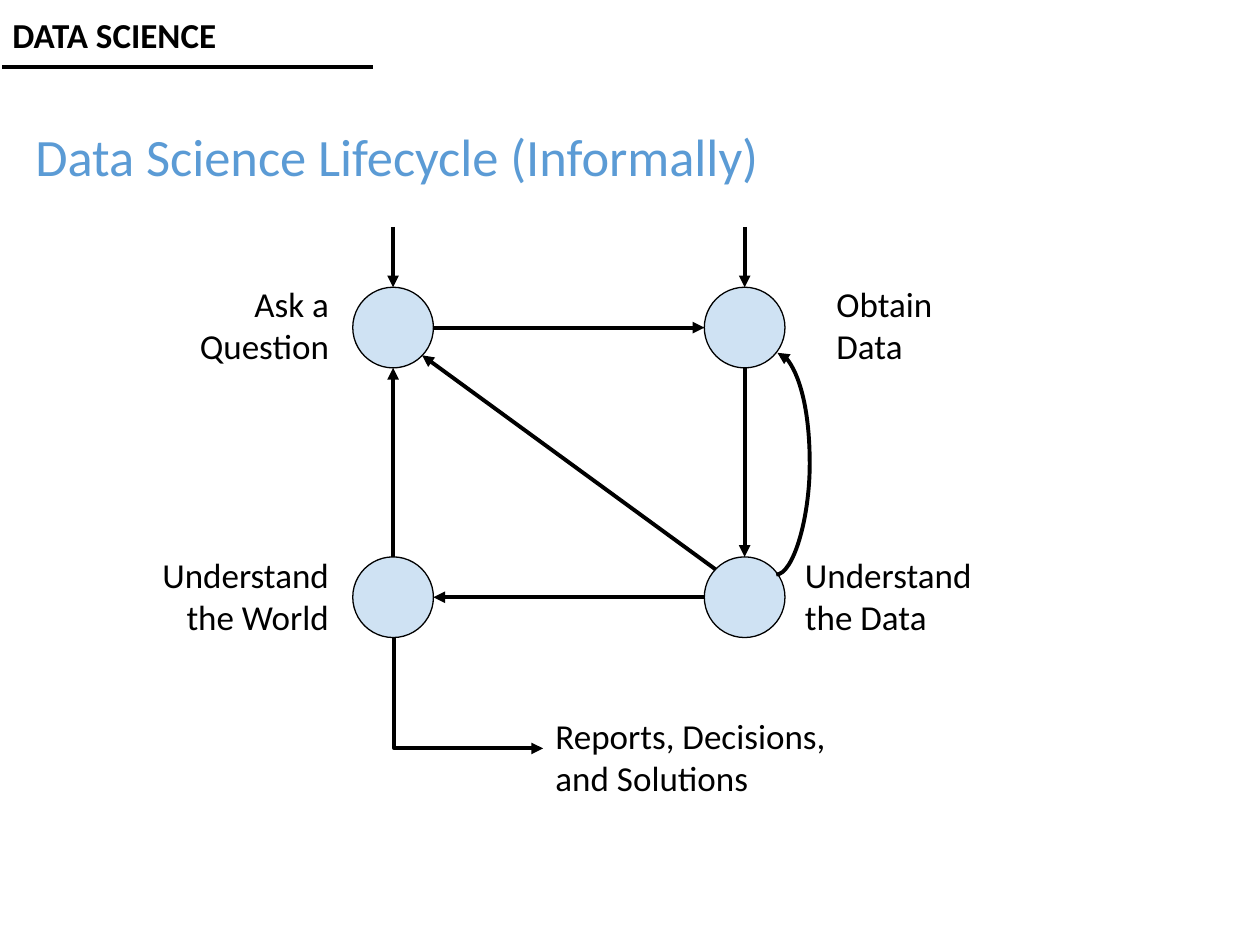
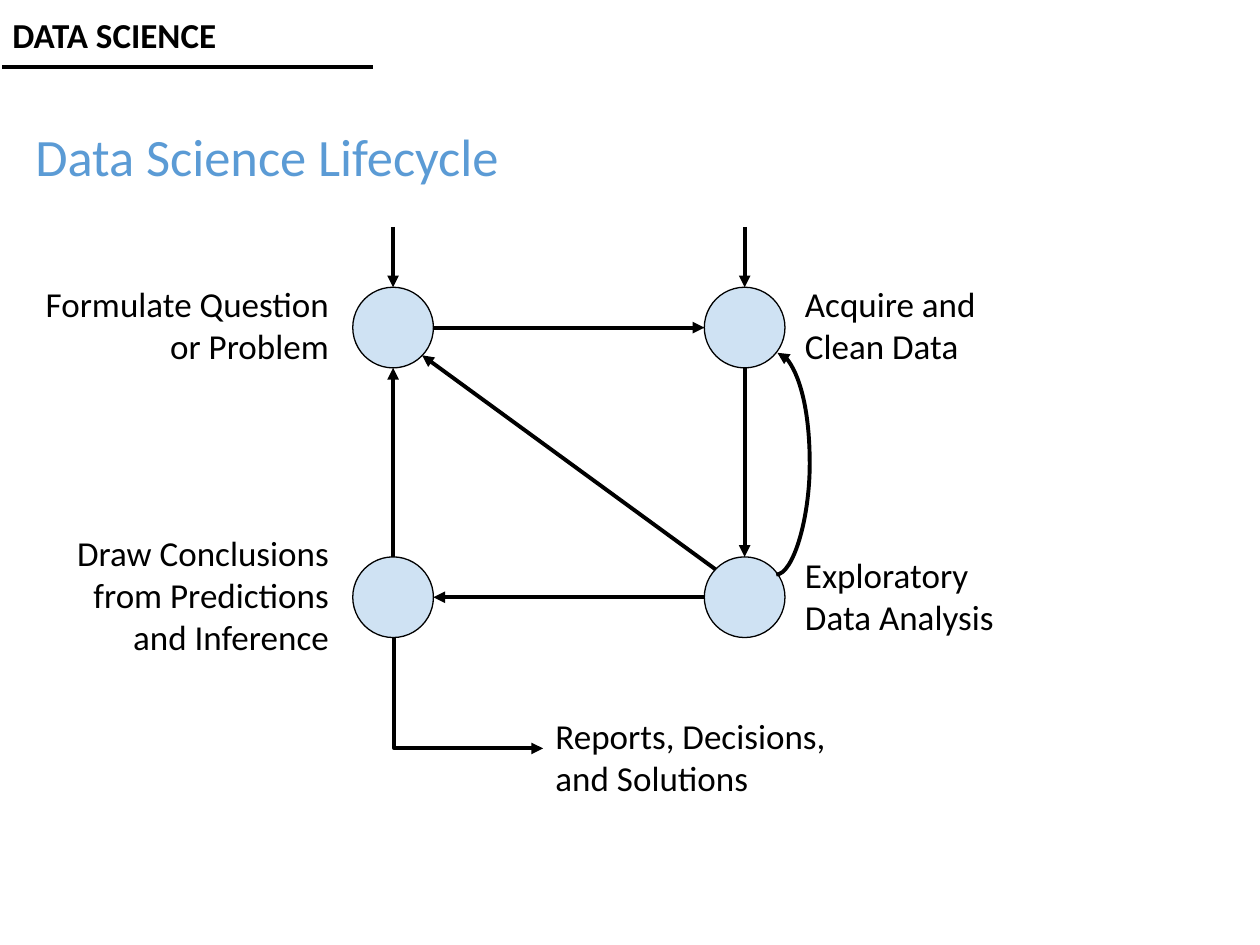
from pptx import Presentation
from pptx.dml.color import RGBColor
from pptx.enum.shapes import MSO_CONNECTOR, MSO_SHAPE
from pptx.enum.text import MSO_ANCHOR, MSO_AUTO_SIZE, PP_ALIGN
from pptx.oxml.ns import qn
from pptx.util import Pt
from lxml import etree

STRAIGHT, ELBOW, CURVE = MSO_CONNECTOR.STRAIGHT, MSO_CONNECTOR.ELBOW, MSO_CONNECTOR.CURVE
OVAL, TOP, NO_FIT = MSO_SHAPE.OVAL, MSO_ANCHOR.TOP, MSO_AUTO_SIZE.NONE
LEFT, RIGHT = PP_ALIGN.LEFT, PP_ALIGN.RIGHT

# Lengths are px, 100 to the inch
SCALE = 9144
COLORS = {"title": "5B9BD5", "node": "CFE2F3", "ink": "000000"}
FONT = "Calibri"
TITLE_ONLY = 5

# Cycle geometry: column and row centres of the nodes
WEST, EAST = 312, 591
NORTH, SOUTH = 260, 474
RADIUS = 32
ENTRY_TOP = 180


def px(*lengths):
    return [round(length * SCALE) for length in lengths]


class Painter:
    """Holds the style and the current slide."""

    def __init__(self, deck):
        self.deck = deck
        self.slide = None

    def new_slide(self, title):
        layout = self.deck.slide_layouts[TITLE_ONLY]
        self.slide = self.deck.slides.add_slide(layout)
        box = self.slide.shapes.title
        box.left, box.top, box.width, box.height = px(18, 94, 900, 73)
        self.fill_text(box, title, size=30, color="title", spacing=0.9)

    def fill_text(self, box, text, size=20, color="ink", align=LEFT, bold=False,
                  wrap=True, inset=10, spacing=1.0):
        side, edge = px(10, inset)
        frame = box.text_frame
        frame_format = {"word_wrap": wrap, "auto_size": NO_FIT, "vertical_anchor": TOP,
                        "margin_left": side, "margin_right": side,
                        "margin_top": edge, "margin_bottom": edge}
        for name, value in frame_format.items():
            setattr(frame, name, value)
        para = frame.paragraphs[0]
        para.alignment, para.line_spacing = align, spacing
        span = para.add_run()
        span.text = text
        for name, value in {"name": FONT, "size": Pt(size), "bold": bold}.items():
            setattr(span.font, name, value)
        span.font.color.rgb = RGBColor.from_string(COLORS[color])

    def label(self, text, left, top, width, height=74, **style):
        box = self.slide.shapes.add_textbox(*px(left, top, width, height))
        self.fill_text(box, text, **style)

    def outline(self, shape, weight):
        shape.line.color.rgb = RGBColor.from_string(COLORS["ink"])
        shape.line.width = Pt(weight)

    def node(self, x, y):
        circle = self.slide.shapes.add_shape(
            OVAL, *px(x - RADIUS, y - RADIUS, 2 * RADIUS, 2 * RADIUS))
        circle.shadow.inherit = False
        circle.fill.solid()
        circle.fill.fore_color.rgb = RGBColor.from_string(COLORS["node"])
        self.outline(circle, 0.75)
        return circle

    def line(self, start, end, kind=STRAIGHT, arrow=True, target=None):
        link = self.slide.shapes.add_connector(kind, *px(*start, *end))
        self.outline(link, 2.25)
        properties = link.element.spPr
        if arrow:
            etree.SubElement(properties.find(qn("a:ln")), qn("a:tailEnd"), type="triangle")
        etree.SubElement(properties, qn("a:effectLst"))
        if target is not None:
            link.end_connect(target, 0)
        return link

    def shaped_line(self, kind, preset, frame, turn, bend=None):
        """Draw a mirrored, turned connector; bend is a share of its width."""
        left, top, width, height = frame
        link = self.line((left, top), (left + width, top + height), kind)
        properties = link.element.spPr
        transform = properties.find(qn("a:xfrm"))
        transform.set("rot", str(turn * 60000))
        transform.set("flipH", "1")
        geometry = properties.find(qn("a:prstGeom"))
        geometry.set("prst", preset)
        if bend is not None:
            guides = geometry.find(qn("a:avLst"))
            etree.SubElement(guides, qn("a:gd"), name="adj1", fmla=f"val {bend * 100000}")


def draw_header(painter):
    painter.line((2, 53), (296, 53), arrow=False)
    painter.label("DATA SCIENCE", 0, 6, 183, 44, bold=True, wrap=False, inset=5)


def draw_cycle(painter):
    nodes = {(x, y): painter.node(x, y) for y in (NORTH, SOUTH) for x in (WEST, EAST)}

    # Entries from above
    for x in (WEST, EAST):
        painter.line((x, ENTRY_TOP), (x, NORTH - RADIUS), target=nodes[x, NORTH])

    # Sides of the cycle and its diagonal
    painter.line((WEST + RADIUS, NORTH), (EAST - RADIUS, NORTH))
    painter.line((EAST, NORTH + RADIUS), (EAST, SOUTH - RADIUS), target=nodes[EAST, SOUTH])
    painter.line((EAST - RADIUS, SOUTH), (WEST + RADIUS, SOUTH))
    painter.line((WEST, SOUTH - RADIUS), (WEST, NORTH + RADIUS))
    painter.line((568, 452), (335, 282))

    # Way out to the results and loop back to the data
    painter.shaped_line(ELBOW, "bentConnector2", (328, 491, 88, 118), 270)
    painter.shaped_line(CURVE, "curvedConnector3", (616, 280, 1, 176), 180, bend=27)
    painter.label("Reports, Decisions, and Solutions", 431, 557, 241)


# Each label: text, left, top, width, alignment
SLIDES = {
    "Data Science Lifecycle (Informally)": [
        ("Ask a Question", 122, 214, 149, RIGHT),
        ("Obtain Data", 654, 214, 126, LEFT),
        ("Understand the Data", 629, 429, 162, LEFT),
        ("Understand the World", 88, 429, 183, RIGHT),
    ],
    "Data Science Lifecycle": [
        ("Formulate Question or Problem", 18, 214, 253, RIGHT),
        ("Acquire and Clean Data", 629, 214, 162, LEFT),
        ("Exploratory Data Analysis", 629, 429, 172, LEFT),
        ("Draw Conclusions from Predictions and Inference", 48, 412, 223, RIGHT),
    ],
}


def main():
    deck = Presentation()
    deck.slide_width, deck.slide_height = px(1000, 750)
    painter = Painter(deck)
    for title, labels in SLIDES.items():
        painter.new_slide(title)
        draw_cycle(painter)
        for text, left, top, width, align in labels:
            painter.label(text, left, top, width, align=align)
        draw_header(painter)
    deck.save("out.pptx")


if __name__ == "__main__":
    main()
